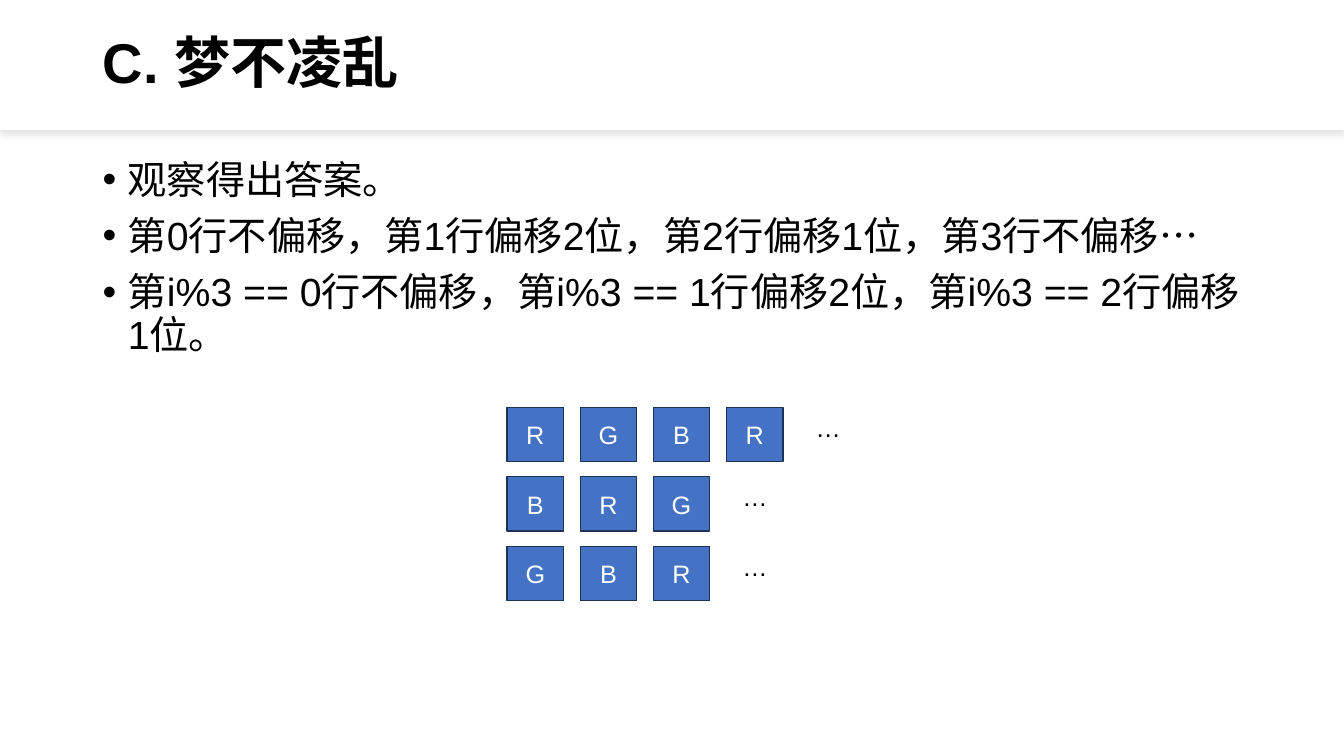
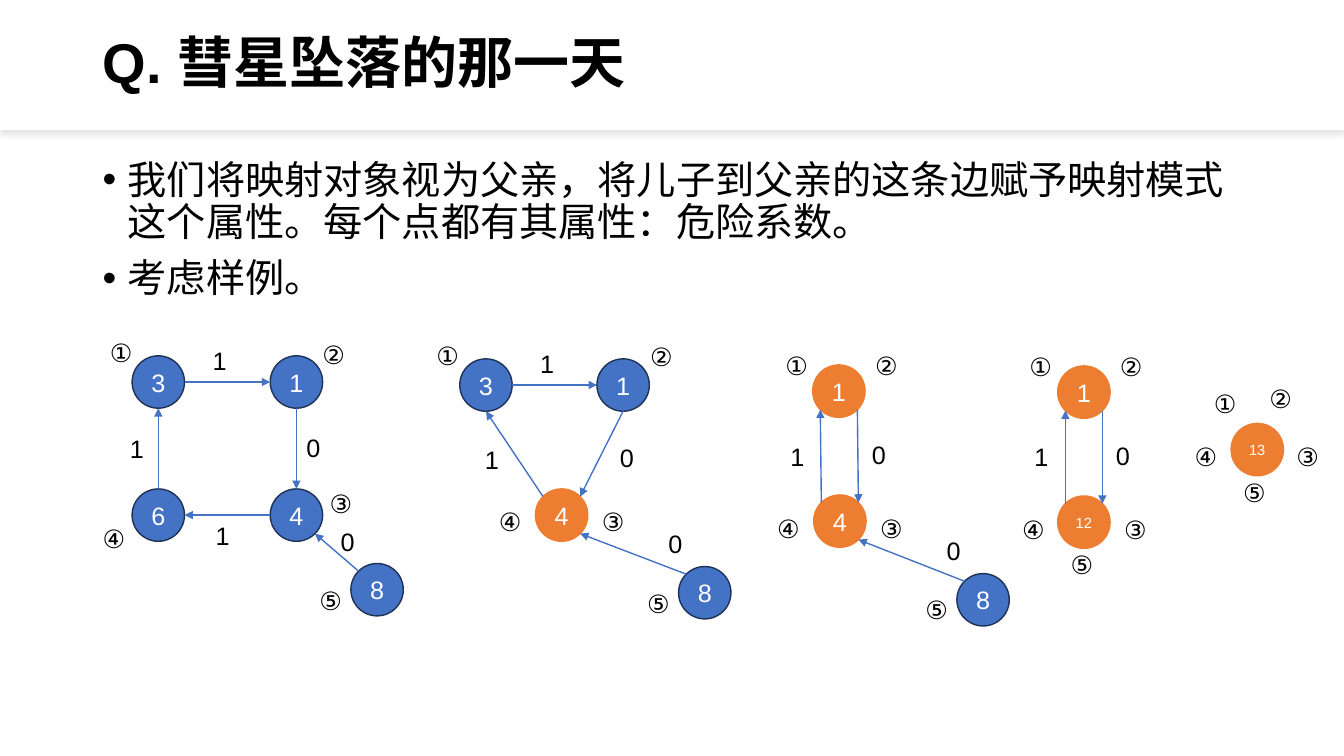
from dataclasses import dataclass
from math import sqrt

from lxml.etree import SubElement
from pptx import Presentation
from pptx.dml.color import RGBColor
from pptx.enum.shapes import MSO_CONNECTOR, MSO_SHAPE
from pptx.enum.text import MSO_ANCHOR, MSO_AUTO_SIZE, PP_ALIGN
from pptx.oxml.ns import qn
from pptx.util import Inches, Pt


@dataclass(frozen=True)
class Theme:
    font: str = "Arial"
    ink: str = "000000"
    paper: str = "FFFFFF"
    blue: str = "4472C4"
    navy: str = "1E3256"
    orange: str = "ED7D31"
    title: float = 40
    body: float = 28
    label: float = 18
    small: float = 10.5


THEME = Theme()
FLUSH = dict(margin_left=0, margin_right=0, margin_top=0, margin_bottom=0)
MID = dict(vertical_anchor=MSO_ANCHOR.MIDDLE)
NODE = 0.52
DIAG = sqrt(0.5)
# Unit vectors from a node's centre to the points where edges meet its rim
RIM = {
    "N": (0, -1), "E": (1, 0), "S": (0, 1), "W": (-1, 0),
    "NE": (DIAG, -DIAG), "SE": (DIAG, DIAG),
    "SW": (-DIAG, DIAG), "NW": (-DIAG, -DIAG),
}

# nodes: text -> left, top; edges: from, rim, to, rim, label, label left, top
# tags: left, top of ①, ②, ③ ... in turn. All are relative to "at".
GRAPHS = [
    dict(
        at=(0.92, 3.3), merged=(),
        nodes={"3": (0.39, 0.23), "1": (1.76, 0.23), "4": (1.76, 1.55),
               "6": (0.39, 1.55), "8": (2.56, 2.29)},
        edges=[("3", "E", "1", "W", "1", 1.09, 0.08),
               ("1", "S", "4", "N", "0", 2.02, 0.94),
               ("4", "W", "6", "E", "1", 1.12, 1.81),
               ("6", "N", "3", "S", "1", 0.27, 0.95),
               ("8", "NW", "4", "SE", "0", 2.36, 1.87)],
        tags=[(0.07, 0), (2.18, 0.02), (2.25, 1.5), (0, 1.84), (2.15, 2.46)],
    ),
    dict(
        at=(4.23, 3.33), merged=("4",),
        nodes={"3": (0.33, 0.23), "1": (1.69, 0.23), "4": (1.08, 1.52),
               "8": (2.5, 2.29)},
        edges=[("3", "E", "1", "W", "1", 1.03, 0.08),
               ("1", "S", "4", "NE", "0", 1.82, 1.01),
               ("4", "NW", "3", "S", "1", 0.48, 1.03),
               ("8", "NW", "4", "SE", "0", 2.3, 1.86)],
        tags=[(0, 0), (2.12, 0.01), (1.64, 1.64), (0.62, 1.64), (2.09, 2.46)],
    ),
    dict(
        at=(7.61, 3.43), merged=("1", "4"),
        nodes={"1": (0.45, 0.19), "4": (0.46, 1.48), "8": (1.88, 2.26)},
        edges=[("1", "SE", "4", "NE", "0", 0.94, 0.88),
               ("4", "NW", "1", "SW", "1", 0.13, 0.9),
               ("8", "NW", "4", "SE", "0", 1.68, 1.83)],
        tags=[(0.08, 0), (0.97, 0), (1.02, 1.61), (0, 1.61), (1.47, 2.42)],
    ),
    dict(
        at=(10.04, 3.44), merged=("1", "12"),
        nodes={"1": (0.45, 0.19), "12": (0.45, 1.48)},
        edges=[("1", "SE", "12", "NE", "0", 0.93, 0.88),
               ("12", "NW", "1", "SW", "1", 0.12, 0.89)],
        tags=[(0.07, 0), (0.97, 0), (1.01, 1.61), (0, 1.61), (0.48, 1.96)],
    ),
    dict(
        at=(11.75, 3.75), merged=("13",),
        nodes={"13": (0.46, 0.45)},
        edges=[],
        tags=[(0.19, 0.05), (0.74, 0), (1.01, 0.58), (0, 0.58), (0.48, 0.94)],
    ),
]


def rgb(code):
    return RGBColor.from_string(code)


def apply(item, values):
    for name, value in values.items():
        setattr(item, name, value)


def box(*sides):
    return [Inches(side) for side in sides]


def write(para, text, size, color=THEME.ink, bold=False):
    run = para.add_run()
    run.text = text
    apply(run.font, dict(name=THEME.font, size=Pt(size), bold=bold))
    run.font.color.rgb = rgb(color)


def tile(shapes, kind, area, text, fill=THEME.blue, line=THEME.navy):
    """Add a filled shape with centred white text."""
    shape = shapes.add_shape(kind, *box(*area))
    shape.shadow.inherit = False
    shape.fill.solid()
    shape.fill.fore_color.rgb = rgb(fill)
    shape.line.color.rgb = rgb(line)
    shape.line.width = Pt(1)
    apply(shape.text_frame, FLUSH | MID)
    para = shape.text_frame.paragraphs[0]
    para.alignment = PP_ALIGN.CENTER
    size = THEME.label if len(text) == 1 else THEME.small
    write(para, text, size, THEME.paper)


def label(shapes, left, top, text, width=0.45):
    frame = shapes.add_textbox(*box(left, top, width, 0.4)).text_frame
    apply(frame, dict(word_wrap=False, auto_size=MSO_AUTO_SIZE.SHAPE_TO_FIT_TEXT))
    write(frame.paragraphs[0], text, THEME.label)


def arrow(shapes, start, end):
    link = shapes.add_connector(MSO_CONNECTOR.STRAIGHT, *box(*start, *end))
    link.line.color.rgb = rgb(THEME.blue)
    link.line.width = Pt(1)
    SubElement(link.line._get_or_add_ln(), qn("a:tailEnd"), type="triangle")
    SubElement(link.element.spPr, qn("a:effectLst"))


def band(slide):
    """Put the shadowed title band on the slide's layout, behind all else."""
    strip = slide.shapes.add_shape(MSO_SHAPE.RECTANGLE, *box(0, 0.01, 13.33, 1.28))
    strip.fill.solid()
    strip.fill.fore_color.rgb = rgb(THEME.paper)
    strip.line.fill.background()
    strip.shadow.inherit = False
    effects = strip.element.spPr.find(qn("a:effectLst"))
    shade = SubElement(effects, qn("a:outerShdw"), blurRad=str(Pt(4)),
                       dist=str(Pt(3)), dir="5400000", algn="t", rotWithShape="0")
    color = SubElement(shade, qn("a:srgbClr"), val=THEME.ink)
    SubElement(color, qn("a:alpha"), val="10000")
    slide.slide_layout.shapes.element.insert(2, strip.element)


def head(slide, text):
    title = slide.shapes.title
    left, top, width, height = box(0.92, 0.26, 11.5, 0.78)
    apply(title, dict(left=left, top=top, width=width, height=height))
    apply(title.text_frame, MID | dict(word_wrap=True, auto_size=MSO_AUTO_SIZE.NONE))
    para = title.text_frame.paragraphs[0]
    apply(para, dict(alignment=PP_ALIGN.LEFT, line_spacing=0.9))
    write(para, text, THEME.title, bold=True)


def points(slide, area, lines):
    frame = slide.shapes.add_textbox(*box(*area)).text_frame
    frame.word_wrap = True
    for i, line in enumerate(lines):
        para = frame.add_paragraph() if i else frame.paragraphs[0]
        apply(para, dict(line_spacing=0.9, space_before=Pt(10)))
        props = para._p.get_or_add_pPr()
        props.set("marL", str(Inches(0.25)))
        props.set("indent", str(Inches(-0.25)))
        SubElement(props, qn("a:buFont"), typeface=THEME.font)
        SubElement(props, qn("a:buChar"), char="•")
        write(para, line, THEME.body)


def grid(slide, left, top, rows):
    """Draw rows of lettered tiles, each ended by an ellipsis."""
    step, drop = 0.725, 0.69
    for r, row in enumerate(rows):
        y = top + r * drop
        for c, text in enumerate(row):
            area = (left + c * step, y, 0.56, 0.54)
            tile(slide.shapes, MSO_SHAPE.RECTANGLE, area, text)
        label(slide.shapes, left + len(row) * step + 0.06, y, "…")


def graph(slide, at, merged, nodes, edges, tags):
    shapes = slide.shapes.add_group_shape().shapes
    x, y = at

    def rim(name, side):
        left, top = nodes[name]
        dx, dy = RIM[side]
        half = NODE / 2
        return x + left + half * (1 + dx), y + top + half * (1 + dy)

    for text, (left, top) in nodes.items():
        paint = dict(fill=THEME.orange, line=THEME.orange) if text in merged else {}
        area = (x + left, y + top, NODE, NODE)
        tile(shapes, MSO_SHAPE.OVAL, area, text, **paint)
    for tail, out, tip, into, text, left, top in edges:
        arrow(shapes, rim(tail, out), rim(tip, into))
        label(shapes, x + left, y + top, text, width=0.34)
    for text, (left, top) in zip("①②③④⑤", tags):
        label(shapes, x + left, y + top, text)


def page(deck, title, lines, height):
    slide = deck.slides.add_slide(deck.slide_layouts[5])
    head(slide, title)
    points(slide, (0.92, 1.54, 11.5, height), lines)
    return slide


def main():
    deck = Presentation()
    apply(deck, dict(slide_width=Inches(13.33), slide_height=Inches(7.5)))

    dream = page(deck, "C. 梦不凌乱", [
        "观察得出答案。",
        "第0行不偏移，第1行偏移2位，第2行偏移1位，第3行不偏移…",
        "第i%3 == 0行不偏移，第i%3 == 1行偏移2位，第i%3 == 2行偏移1位。",
    ], 2.45)
    band(dream)
    grid(dream, 5.03, 4.04, ["RGBR", "BRG", "GBR"])

    comet = page(deck, "Q. 彗星坠落的那一天", [
        "我们将映射对象视为父亲，将儿子到父亲的这条边赋予映射模式"
        "这个属性。每个点都有其属性：危险系数。",
        "考虑样例。",
    ], 1.6)
    for parts in GRAPHS:
        graph(comet, **parts)

    deck.save("out.pptx")


if __name__ == "__main__":
    main()
